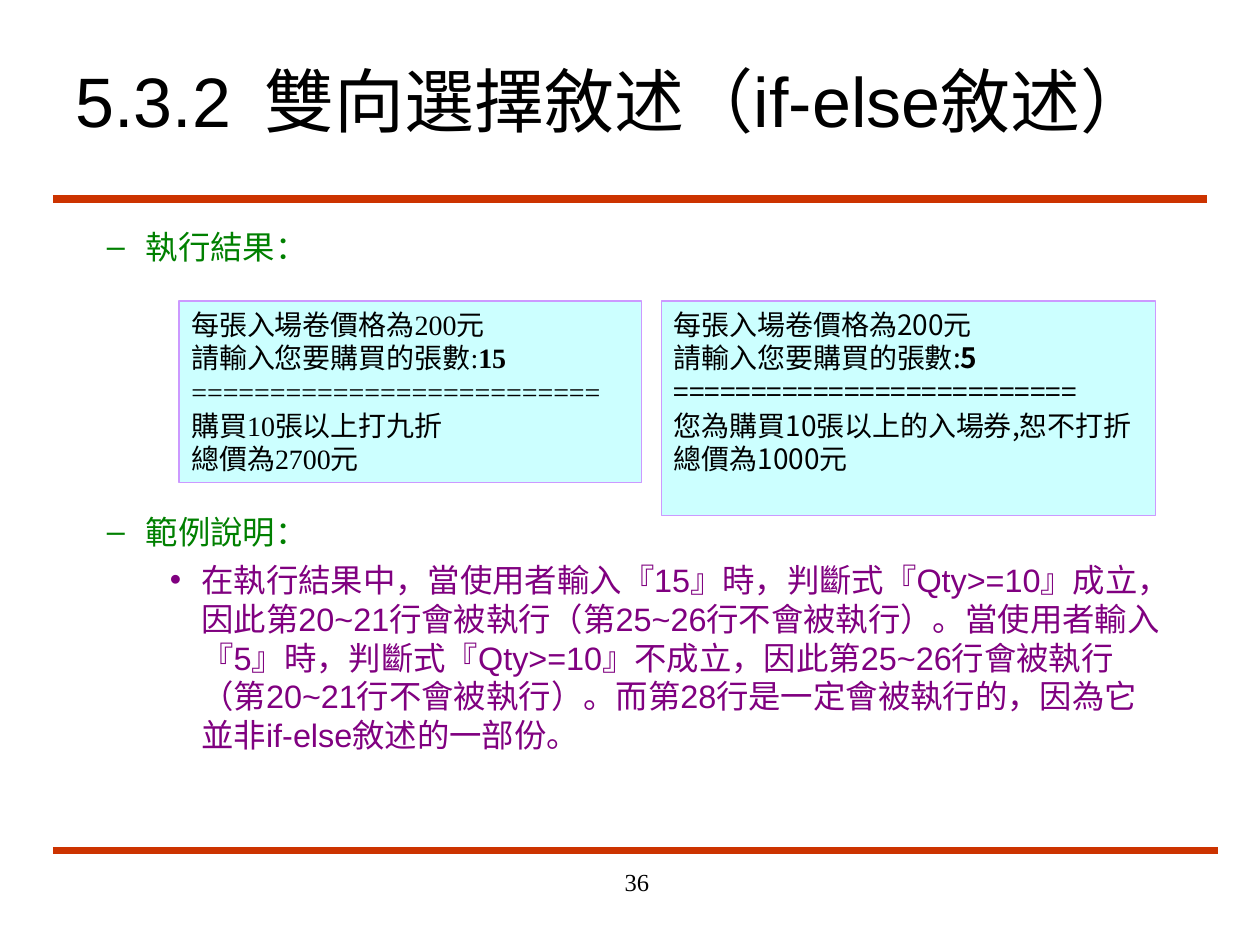
from lxml import etree
from pptx import Presentation
from pptx import util as u
from pptx.dml.color import RGBColor
from pptx.enum import shapes, text
from pptx.oxml.ns import qn

SANS, SERIF, CJK = "Arial", "Times New Roman", "Noto Sans CJK TC"
BLACK, GREEN, PURPLE, RED = "000000", "008000", "800080", "CC3300"
BOX_FILL, BOX_LINE = "CCFFFF", "CC99FF"

TITLE = "5.3.2\t雙向選擇敘述（if-else敘述）"
PAGE_NUMBER = "36"
RULES = [(1.58, 9.58), (6.75, 9.67)]
RULE_LEFT = 0.42

BODY = [
    ("執行結果：", "–", GREEN, 0.81, -0.31, 0),
    ("範例說明：", "–", GREEN, 0.81, -0.31, 141),
    ("在執行結果中，當使用者輸入『15』時，判斷式『Qty>=10』成立，因此第20~21行會被執行"
     "（第25~26行不會被執行）。當使用者輸入『5』時，判斷式『Qty>=10』不成立，因此第25~26行"
     "會被執行（第20~21行不會被執行）。而第28行是一定會被執行的，因為它並非if-else敘述的一部份。",
     "•", PURPLE, 1.25, -0.25, 5),
]

PRICE = "每張入場卷價格為200元"
PROMPT = "請輸入您要購買的張數:"
DIVIDER = "=" * 26
RESULTS = [
    (1.42, 3.67, 1.44, SERIF, "15", "購買10張以上打九折",
     [("總價為", CJK), ("2700", SERIF), ("元", CJK)]),
    (5.25, 3.92, 1.70, CJK, "5", "您為購買10張以上的入場券,恕不打折",
     [("總價為1000元", CJK)]),
]
RESULT_TOP = 2.39


def color(value):
    return RGBColor.from_string(value)


def style(font, size, name, value, bold=False):
    font.size = u.Pt(size)
    font.name = name
    font.bold = bold
    font.color.rgb = color(value)


def add_text_box(slide, left, top, width, height):
    box = slide.shapes.add_textbox(*map(u.Inches, (left, top, width, height)))
    box.text_frame.word_wrap = True
    return box.text_frame


def add_label(slide, place, content, size, name):
    frame = add_text_box(slide, *place)
    frame.text = content
    style(frame.paragraphs[0].runs[0].font, size, name, BLACK)
    return frame


def add_rule(slide, top, right):
    line = slide.shapes.add_connector(
        shapes.MSO_CONNECTOR.STRAIGHT,
        u.Inches(RULE_LEFT), u.Inches(top), u.Inches(right), u.Inches(top))
    line.line.color.rgb = color(RED)
    line.line.width = u.Pt(4.5)
    etree.SubElement(line._element.spPr, qn("a:effectLst"))


def set_bullet(paragraph, bullet, value, margin, indent):
    properties = paragraph._p.get_or_add_pPr()
    properties.set("marL", str(u.Inches(margin)))
    properties.set("indent", str(u.Inches(indent)))
    bullet_color = etree.SubElement(properties, qn("a:buClr"))
    etree.SubElement(bullet_color, qn("a:srgbClr"), val=value)
    etree.SubElement(properties, qn("a:buFont"), typeface=SANS)
    etree.SubElement(properties, qn("a:buChar"), char=bullet)


def add_body(slide):
    frame = add_text_box(slide, 0.25, 1.75, 9.08, 4.83)
    for index, (content, bullet, value, margin, indent, before) in enumerate(BODY):
        paragraph = frame.add_paragraph() if index else frame.paragraphs[0]
        paragraph.text = content
        paragraph.level = 2 if bullet == "•" else 1
        paragraph.space_before = u.Pt(before)
        set_bullet(paragraph, bullet, value, margin, indent)
        style(paragraph.runs[0].font, 18.5, SANS, value)


def add_result(slide, left, width, height, name, answer, message, total):
    box = slide.shapes.add_shape(
        shapes.MSO_SHAPE.RECTANGLE,
        *map(u.Inches, (left, RESULT_TOP, width, height)))
    box.shadow.inherit = False
    box.fill.solid()
    box.fill.fore_color.rgb = color(BOX_FILL)
    box.line.color.rgb = color(BOX_LINE)
    box.line.width = u.Pt(0.75)
    frame = box.text_frame
    frame.word_wrap = True
    frame.auto_size = text.MSO_AUTO_SIZE.SHAPE_TO_FIT_TEXT
    frame.vertical_anchor = text.MSO_ANCHOR.TOP
    lines = [[(PRICE, name)], [(PROMPT, name), (answer, name)],
             [(DIVIDER, name)], [(message, name)], total]
    for index, pieces in enumerate(lines):
        paragraph = frame.add_paragraph() if index else frame.paragraphs[0]
        paragraph.alignment = text.PP_ALIGN.LEFT
        for content, font_name in pieces:
            run = paragraph.add_run()
            run.text = content
            style(run.font, 16, font_name, BLACK, content == answer)


def main():
    presentation = Presentation()
    presentation.slide_width = u.Inches(10)
    presentation.slide_height = u.Inches(7.5)
    slide = presentation.slides.add_slide(presentation.slide_layouts[6])
    for top, right in RULES:
        add_rule(slide, top, right)
    title = add_label(slide, (0.5, 0.33, 8.75, 0.92), TITLE, 40, SANS)
    title.vertical_anchor = text.MSO_ANCHOR.MIDDLE
    add_body(slide)
    for result in RESULTS:
        add_result(slide, *result)
    number = add_label(slide, (3.17, 6.83, 2.08, 0.5), PAGE_NUMBER, 14, SERIF)
    number.paragraphs[0].alignment = text.PP_ALIGN.RIGHT
    presentation.save("out.pptx")


if __name__ == "__main__":
    main()
